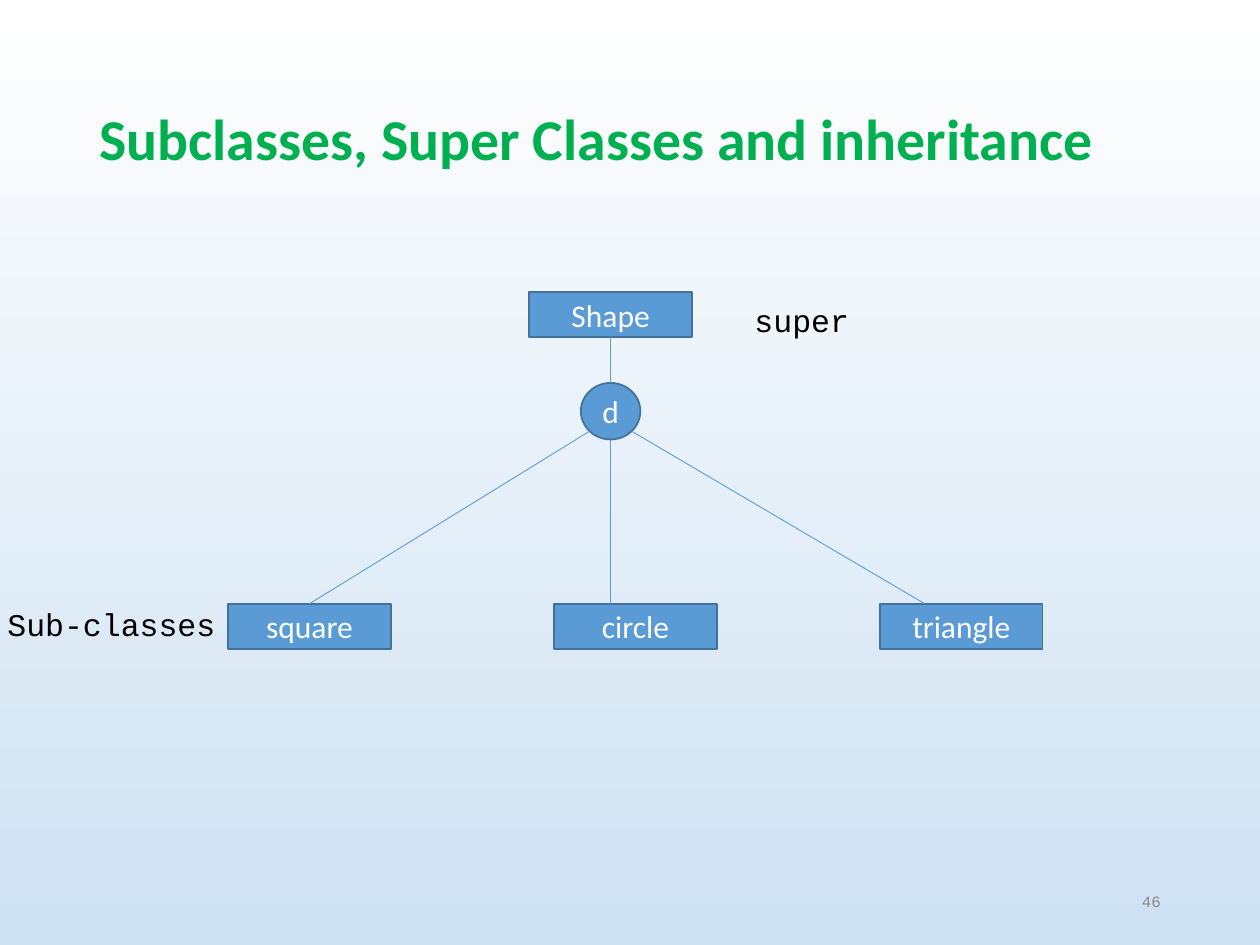
from math import sqrt

from lxml import etree
from pptx import Presentation
from pptx.dml.color import RGBColor
from pptx.enum.shapes import MSO_CONNECTOR, MSO_SHAPE
from pptx.enum.text import MSO_ANCHOR, MSO_AUTO_SIZE, PP_ALIGN
from pptx.oxml.ns import qn
from pptx.util import Cm, Pt

STRAIGHT = MSO_CONNECTOR.STRAIGHT
RECTANGLE, OVAL = MSO_SHAPE.RECTANGLE, MSO_SHAPE.OVAL
TOP, MIDDLE = MSO_ANCHOR.TOP, MSO_ANCHOR.MIDDLE
LEFT, CENTER, RIGHT = PP_ALIGN.LEFT, PP_ALIGN.CENTER, PP_ALIGN.RIGHT
NO_AUTOFIT = MSO_AUTO_SIZE.NONE

WHITE = RGBColor(0xFF, 0xFF, 0xFF)
BLACK = RGBColor(0x00, 0x00, 0x00)
PALE_BLUE = RGBColor(0xCE, 0xE1, 0xF2)
BLUE = RGBColor(0x5B, 0x9B, 0xD5)
DARK_BLUE = RGBColor(0x41, 0x71, 0x9C)
GREEN = RGBColor(0x00, 0xB0, 0x50)
GREY = RGBColor(0x89, 0x89, 0x89)

BODY_FONT, CODE_FONT = "Calibri", "Courier New"
NODE_W, NODE_H = 3.28, 0.91
JOINT_W, JOINT_H = 1.2, 1.14


def write(shape, text, font_name, size, color, align, anchor, bold=False):
    frame = shape.text_frame
    frame.text = text
    frame.vertical_anchor = anchor
    paragraph = frame.paragraphs[0]
    paragraph.alignment = align
    font = paragraph.font
    font.name, font.size, font.bold = font_name, Pt(size), bold
    font.color.rgb = color


def add_label(slide, text, left, top, width, size=18, color=BLACK,
              align=LEFT, anchor=TOP, wrap=True):
    label = slide.shapes.add_textbox(Cm(left), Cm(top), Cm(width), Cm(1.02))
    write(label, text, CODE_FONT, size, color, align, anchor)
    label.text_frame.word_wrap = wrap


def add_node(slide, preset, text, left, top, width, height):
    node = slide.shapes.add_shape(preset, Cm(left), Cm(top), Cm(width), Cm(height))
    node.shadow.inherit = False
    node.fill.solid()
    node.fill.fore_color.rgb = BLUE
    node.line.color.rgb = DARK_BLUE
    node.line.width = Pt(1)
    write(node, text, BODY_FONT, 18, WHITE, CENTER, MIDDLE)


def add_link(slide, x1, y1, x2, y2):
    link = slide.shapes.add_connector(STRAIGHT, Cm(x1), Cm(y1), Cm(x2), Cm(y2))
    link.line.color.rgb = BLUE
    link.line.width = Pt(0.5)
    etree.SubElement(link._element.spPr, qn("a:effectLst"))


def paint_background(slide):
    fill = slide.background.fill
    fill.gradient()
    fill.gradient_angle = 270
    for stop, color, position in zip(fill.gradient_stops, (WHITE, PALE_BLUE), (0, 1)):
        stop.color.rgb = color
        stop.position = position


def place_title(slide, left, top, width, height):
    title = slide.shapes.title
    title.left, title.top = Cm(left), Cm(top)
    title.width, title.height = Cm(width), Cm(height)
    write(title, "Subclasses, Super Classes and inheritance",
          BODY_FONT, 33, GREEN, LEFT, MIDDLE, bold=True)
    title.text_frame.auto_size = NO_AUTOFIT
    title.text_frame.paragraphs[0].line_spacing = 0.9


def draw_hierarchy(slide, left, top, width, height):
    axis = left + 7.71
    super_bottom = top + NODE_H
    joint_top = top + 1.83
    joint_bottom = joint_top + JOINT_H
    sub_top = top + height - NODE_H
    step = (width - NODE_W) / 2

    # Superclass and subclasses
    add_node(slide, RECTANGLE, "Shape", axis - NODE_W / 2, top, NODE_W, NODE_H)
    for column, name in enumerate(("square", "circle", "triangle")):
        add_node(slide, RECTANGLE, name, left + column * step, sub_top, NODE_W, NODE_H)

    # Disjoint joint
    add_node(slide, OVAL, "d", axis - JOINT_W / 2, joint_top, JOINT_W, JOINT_H)

    # Links; the slanted ones leave the joint at 45 degrees
    slant_x = JOINT_W / 2 / sqrt(2)
    slant_y = joint_top + JOINT_H / 2 * (1 + 1 / sqrt(2))
    add_link(slide, axis, super_bottom, axis, joint_top)
    add_link(slide, axis - slant_x, slant_y, left + NODE_W / 2, sub_top)
    add_link(slide, axis, joint_bottom, axis, sub_top)
    add_link(slide, axis + slant_x, slant_y, left + 2 * step + 0.9, sub_top)

    # Level names
    add_label(slide, "super", left + 10.36, top + 0.05, 2.41, wrap=False)
    add_label(slide, "Sub-classes", left - 4.7, sub_top - 0.1, 5.16)


def main():
    deck = Presentation()
    deck.slide_width, deck.slide_height = Cm(25.4), Cm(19.05)
    slide = deck.slides.add_slide(deck.slide_layouts[5])
    paint_background(slide)
    place_title(slide, 1.75, 1.02, 21.92, 3.68)
    add_label(slide, "46", 17.93, 17.65, 5.72, size=9, color=GREY,
              align=RIGHT, anchor=MIDDLE)
    draw_hierarchy(slide, 4.6, 5.89, 16.42, 7.19)
    deck.save("out.pptx")


if __name__ == "__main__":
    main()
